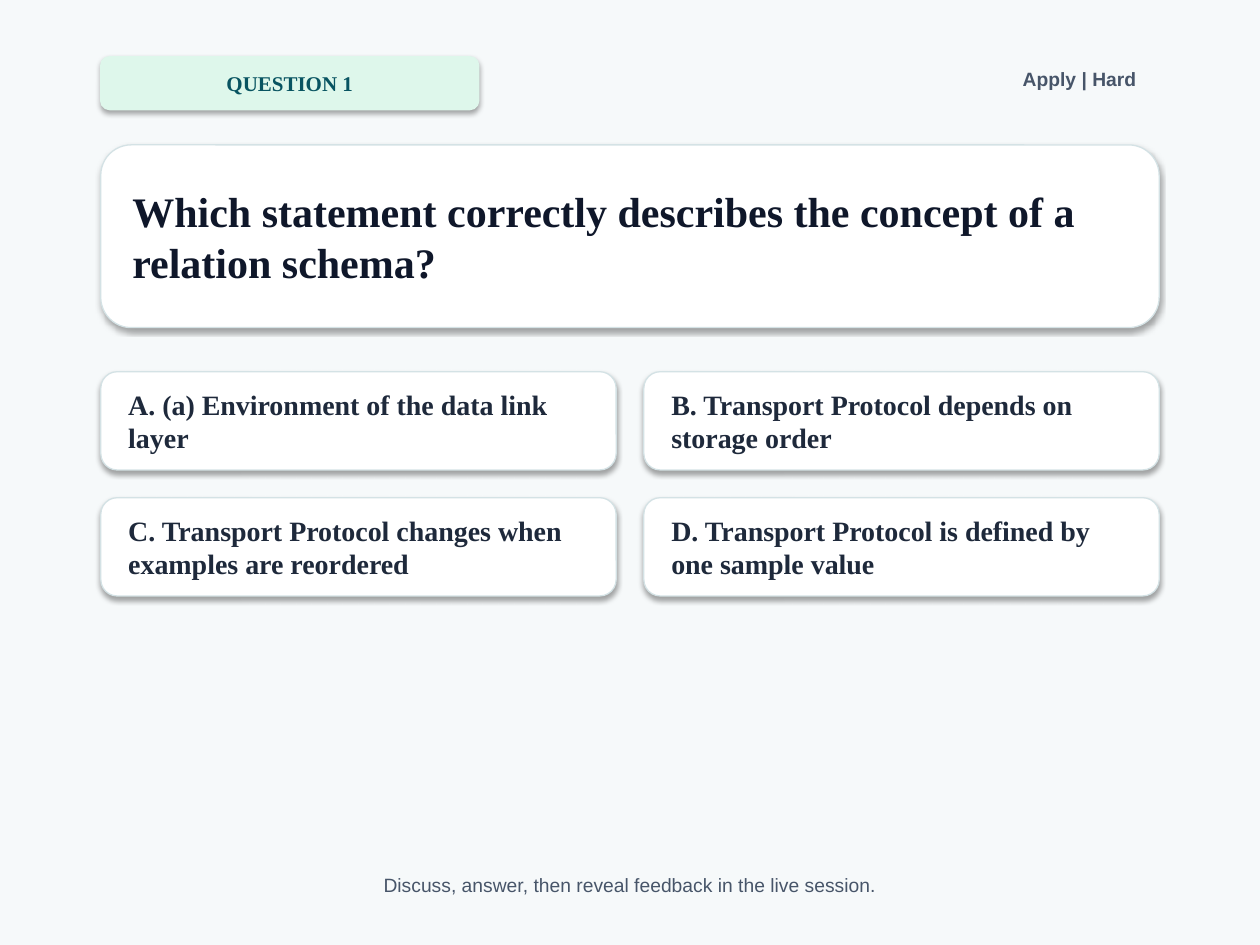
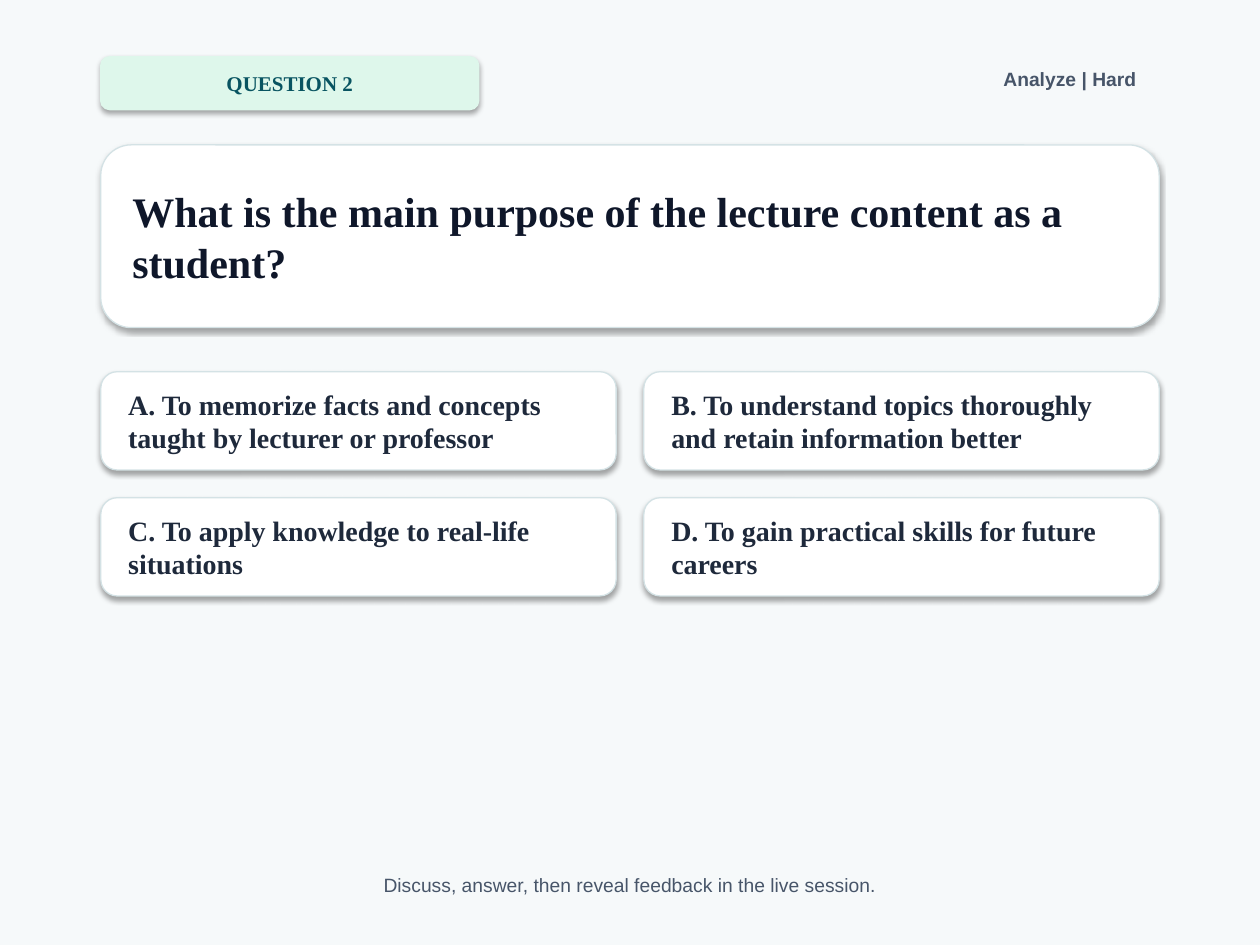
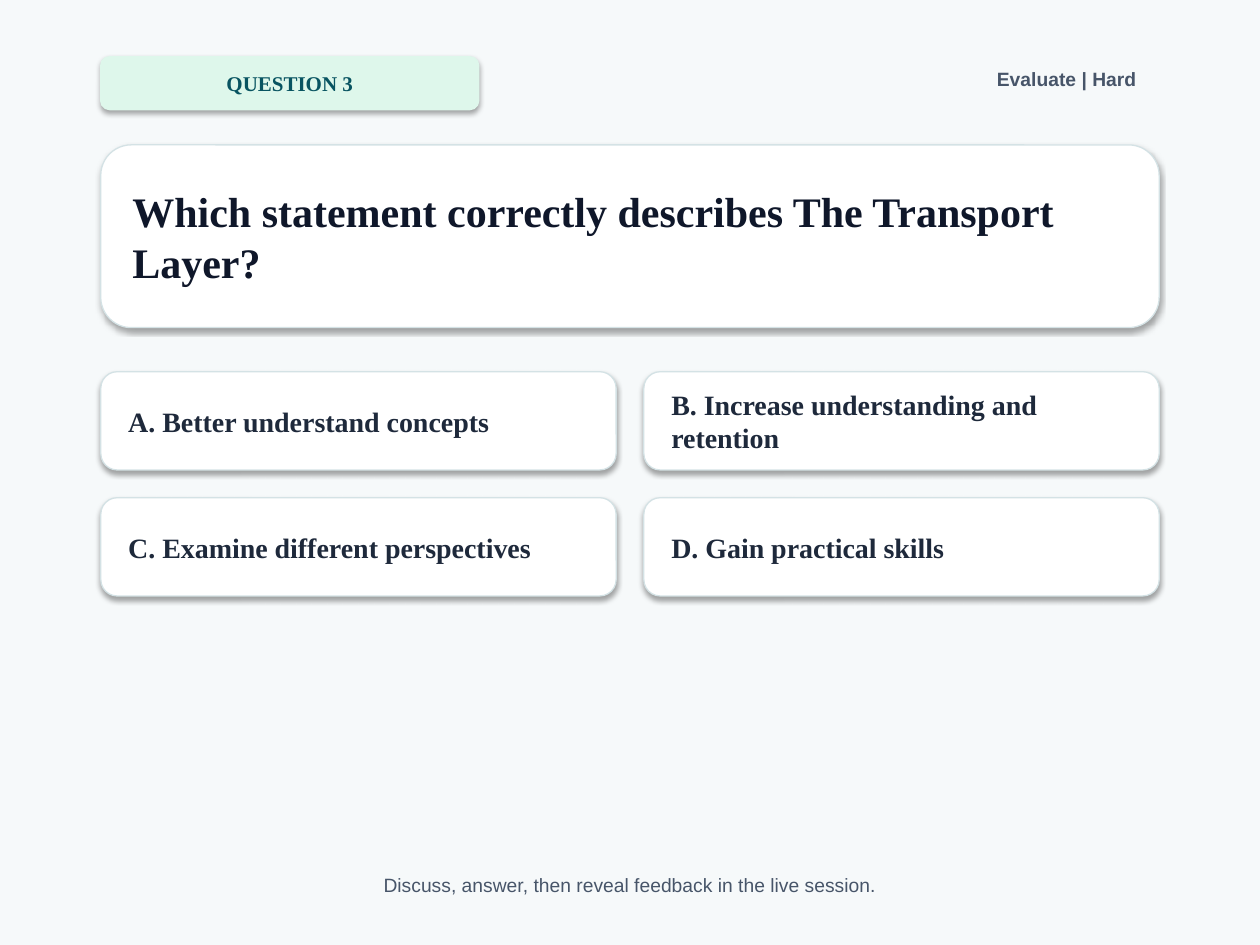
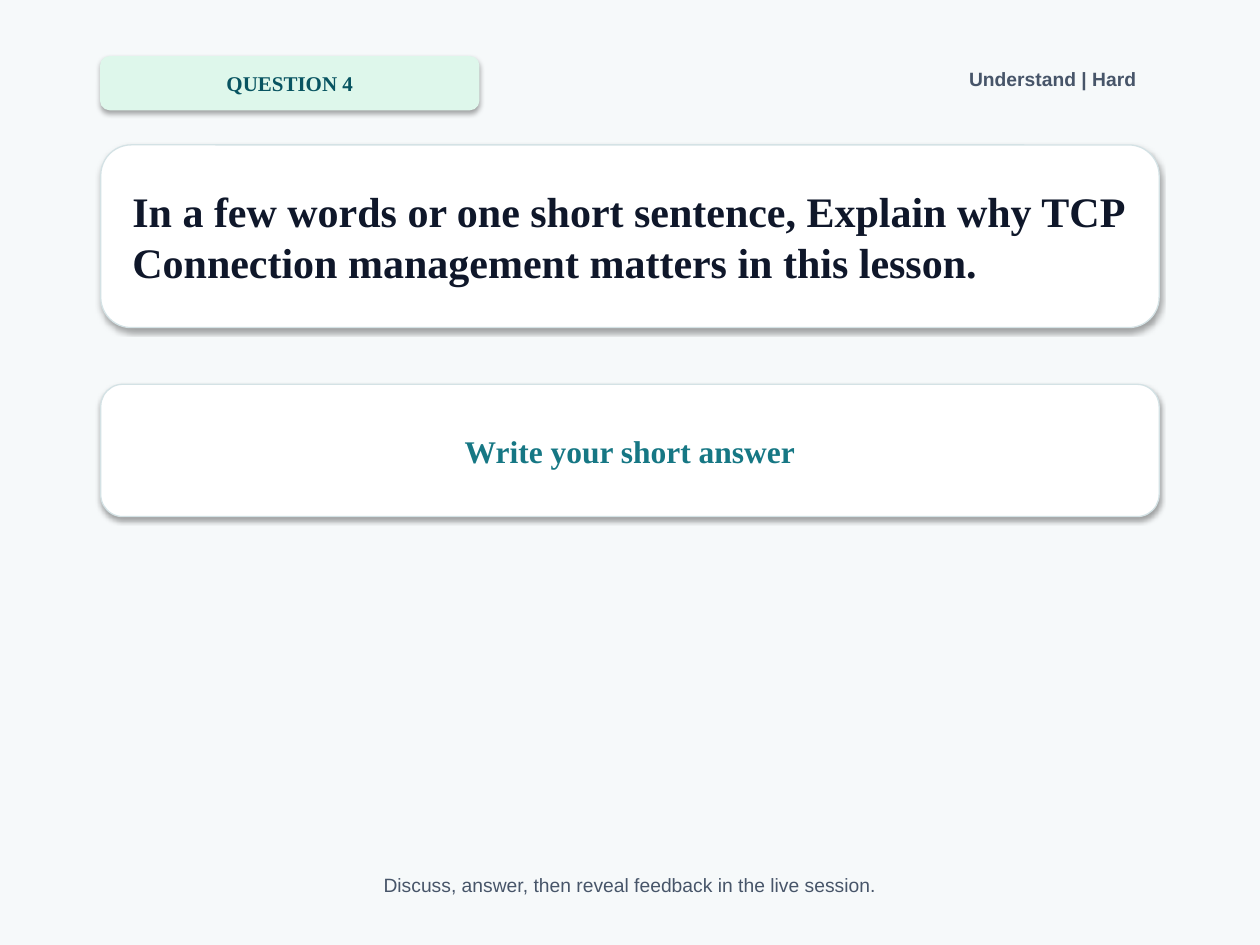
from dataclasses import dataclass

from pptx import Presentation
from pptx.dml.color import RGBColor
from pptx.enum.shapes import MSO_SHAPE as Preset
from pptx.enum.text import MSO_ANCHOR as Anchor, PP_ALIGN as Align
from pptx.util import Inches, Pt

QUESTIONS = [
    {
        "level": "Apply | Hard",
        "question": "Which statement correctly describes the concept of a relation schema?",
        "options": [
            "(a) Environment of the data link layer",
            "Transport Protocol depends on storage order",
            "Transport Protocol changes when examples are reordered",
            "Transport Protocol is defined by one sample value",
        ],
    },
    {
        "level": "Analyze | Hard",
        "question": "What is the main purpose of the lecture content as a student?",
        "options": [
            "To memorize facts and concepts taught by lecturer or professor",
            "To understand topics thoroughly and retain information better",
            "To apply knowledge to real-life situations",
            "To gain practical skills for future careers",
        ],
    },
    {
        "level": "Evaluate | Hard",
        "question": "Which statement correctly describes The Transport Layer?",
        "options": [
            "Better understand concepts",
            "Increase understanding and retention",
            "Examine different perspectives",
            "Gain practical skills",
        ],
    },
    {
        "level": "Understand | Hard",
        "question": "In a few words or one short sentence, Explain why TCP "
                    "Connection management matters in this lesson.",
        "options": [],
    },
]
ANSWER_PROMPT = "Write your short answer"
FOOTER = "Discuss, answer, then reveal feedback in the live session."


@dataclass(frozen=True)
class TextStyle:
    size: int
    color: str
    font: str = "Times New Roman"
    bold: bool = True
    align: Align = Align.LEFT


@dataclass(frozen=True)
class Theme:
    page: str = "F6F9FA"
    badge: str = "DEF7EB"
    card: str = "FFFFFF"
    border: str = "D4E2E5"
    badge_text: TextStyle = TextStyle(12, "085461", align=Align.CENTER)
    level_text: TextStyle = TextStyle(11, "475569", "Arial", align=Align.RIGHT)
    question_text: TextStyle = TextStyle(24, "0F172A")
    option_text: TextStyle = TextStyle(16, "1E293B")
    prompt_text: TextStyle = TextStyle(18, "167784", align=Align.CENTER)
    footer_text: TextStyle = TextStyle(11, "475569", "Arial", False, Align.CENTER)


THEME = Theme()
PAGE_WIDTH, PAGE_HEIGHT = 10, 7.5
MARGIN = 0.8
CONTENT_WIDTH = PAGE_WIDTH - 2 * MARGIN
HEADER_TOP, HEADER_HEIGHT = 0.45, 0.42
LEVEL_WIDTH = 3.2
COLUMNS, COLUMN_GAP = 2, 0.22
OPTION_WIDTH = (CONTENT_WIDTH - COLUMN_GAP * (COLUMNS - 1)) / COLUMNS
OPTION_TOP, OPTION_HEIGHT, ROW_GAP = 2.95, 0.78, 0.22


def write(holder, text, style, anchor):
    frame = holder.text_frame
    frame.word_wrap = True
    frame.vertical_anchor = anchor
    frame.margin_left = frame.margin_right = Inches(0.18)
    frame.margin_top = frame.margin_bottom = Inches(0.08)
    frame.text = text
    paragraph = frame.paragraphs[0]
    paragraph.alignment = style.align
    font = paragraph.runs[0].font
    font.name, font.size, font.bold = style.font, Pt(style.size), style.bold
    font.color.rgb = RGBColor.from_string(style.color)


def add_panel(slide, preset, box, fill, border):
    panel = slide.shapes.add_shape(preset, *map(Inches, box))
    panel.fill.solid()
    panel.fill.fore_color.rgb = RGBColor.from_string(fill)
    panel.line.color.rgb = RGBColor.from_string(border)
    panel.line.width = Pt(0.75)
    return panel


def add_card(slide, box, text, style, fill=THEME.card, border=THEME.border):
    card = add_panel(slide, Preset.ROUNDED_RECTANGLE, box, fill, border)
    write(card, text, style, Anchor.MIDDLE)


def add_label(slide, box, text, style):
    write(slide.shapes.add_textbox(*map(Inches, box)), text, style, Anchor.TOP)


def add_options(slide, options):
    for index, (letter, option) in enumerate(zip("ABCD", options)):
        row, column = divmod(index, COLUMNS)
        left = MARGIN + column * (OPTION_WIDTH + COLUMN_GAP)
        top = OPTION_TOP + row * (OPTION_HEIGHT + ROW_GAP)
        add_card(slide, (left, top, OPTION_WIDTH, OPTION_HEIGHT),
                 f"{letter}. {option}", THEME.option_text)


def add_question(deck, number, item):
    slide = deck.slides.add_slide(deck.slide_layouts[6])
    add_panel(slide, Preset.RECTANGLE, (0, 0, PAGE_WIDTH, PAGE_HEIGHT),
              THEME.page, THEME.page)
    add_card(slide, (MARGIN, HEADER_TOP, 3, HEADER_HEIGHT), f"QUESTION {number}",
             THEME.badge_text, THEME.badge, THEME.badge)
    add_label(slide, (PAGE_WIDTH - MARGIN - LEVEL_WIDTH, HEADER_TOP, LEVEL_WIDTH, HEADER_HEIGHT),
              item["level"], THEME.level_text)
    add_card(slide, (MARGIN, 1.15, CONTENT_WIDTH, 1.45), item["question"], THEME.question_text)
    if item["options"]:
        add_options(slide, item["options"])
    else:
        add_card(slide, (MARGIN, 3.05, CONTENT_WIDTH, 1.05), ANSWER_PROMPT, THEME.prompt_text)
    add_label(slide, (MARGIN, 6.85, CONTENT_WIDTH, 0.28), FOOTER, THEME.footer_text)


def main():
    deck = Presentation()
    deck.slide_width, deck.slide_height = Inches(PAGE_WIDTH), Inches(PAGE_HEIGHT)
    for number, item in enumerate(QUESTIONS, start=1):
        add_question(deck, number, item)
    deck.save("out.pptx")


if __name__ == "__main__":
    main()
